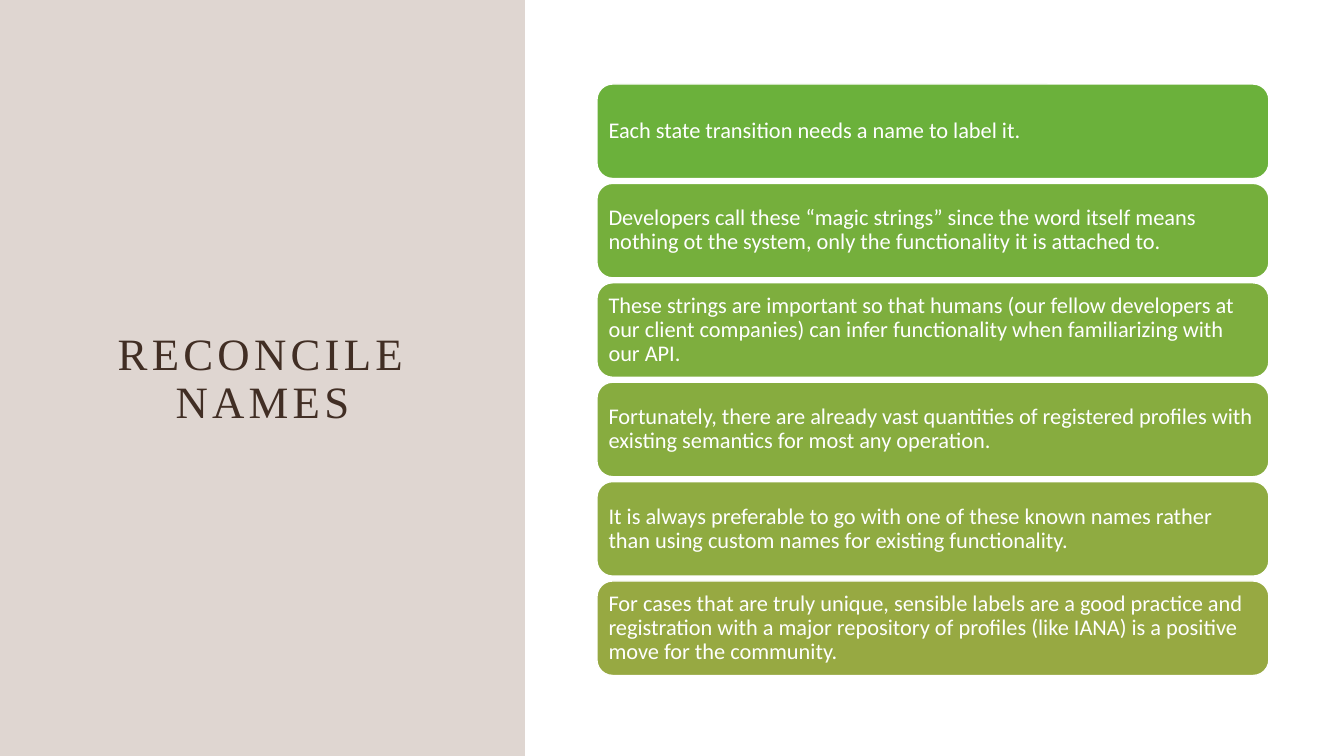
from lxml.etree import SubElement
from pptx import Presentation
from pptx.dml.color import RGBColor
from pptx.enum.shapes import MSO_SHAPE
from pptx.enum.text import MSO_ANCHOR, MSO_AUTO_SIZE, PP_ALIGN
from pptx.oxml.ns import qn
from pptx.util import Pt

WHITE = RGBColor(0xFF, 0xFF, 0xFF)
BROWN = RGBColor(0x83, 0x5D, 0x48)
DARK_BROWN = RGBColor(0x41, 0x2E, 0x24)

STATEMENTS = [
    ("Each state transition needs a name to label it.", RGBColor(0x6B, 0xB1, 0x3B)),
    ("Developers call these “magic strings” since the word itself means nothing ot "
     "the system, only the functionality it is attached to.", RGBColor(0x75, 0xAF, 0x3C)),
    ("These strings are important so that humans (our fellow developers at our client "
     "companies) can infer functionality when familiarizing with our API.",
     RGBColor(0x7E, 0xAE, 0x3E)),
    ("Fortunately, there are already vast quantities of registered profiles with "
     "existing semantics for most any operation.", RGBColor(0x87, 0xAC, 0x3F)),
    ("It is always preferable to go with one of these known names rather than using "
     "custom names for existing functionality.", RGBColor(0x8F, 0xAB, 0x41)),
    ("For cases that are truly unique, sensible labels are a good practice and "
     "registration with a major repository of profiles (like IANA) is a positive move "
     "for the community.", RGBColor(0x97, 0xA9, 0x42)),
]
CARD_LEFT, CARD_TOP, CARD_WIDTH, CARD_HEIGHT = 426.4, 60, 480, 67.5
CARD_PITCH = 71


def write(frame, text, *, font, size, color, align=PP_ALIGN.LEFT, spacing=0):
    """Fill a text frame with one formatted, vertically centred paragraph."""
    frame.word_wrap = True
    frame.auto_size = MSO_AUTO_SIZE.NONE
    frame.vertical_anchor = MSO_ANCHOR.MIDDLE
    paragraph = frame.paragraphs[0]
    paragraph.alignment = align
    paragraph.line_spacing = 0.9
    run = paragraph.add_run()
    run.text = text
    run.font.name = font
    run.font.size = Pt(size)
    run.font.color.rgb = color
    if spacing:
        run.font._element.set("spc", str(spacing * 100))


def add_block(slide, kind, left, top, width, height, fill):
    """Add a flat filled shape without an outline."""
    block = slide.shapes.add_shape(kind, Pt(left), Pt(top), Pt(width), Pt(height))
    block.shadow.inherit = False
    block.fill.solid()
    block.fill.fore_color.rgb = fill
    block.line.fill.background()
    return block


def add_panel(slide):
    """Add the translucent side panel behind the title."""
    panel = add_block(slide, MSO_SHAPE.RECTANGLE, 0, 0, 375, 540, BROWN)
    tint = panel._element.spPr.find(qn("a:solidFill")).find(qn("a:srgbClr"))
    SubElement(tint, qn("a:alpha")).set("val", "25000")
    slide.shapes._spTree.insert(2, panel._element)


def add_title(slide, text):
    """Place and format the slide title."""
    title = slide.shapes.title
    title.left, title.top, title.width, title.height = Pt(54), Pt(55.5), Pt(267), Pt(432)
    write(title.text_frame, text, font="Times New Roman", size=32,
          color=DARK_BROWN, align=PP_ALIGN.CENTER, spacing=3)


def add_card(slide, top, text, fill):
    """Add one rounded statement card."""
    card = add_block(slide, MSO_SHAPE.ROUNDED_RECTANGLE, CARD_LEFT, top,
                     CARD_WIDTH, CARD_HEIGHT, fill)
    card.line.color.rgb = WHITE
    card.line.width = Pt(1)
    frame = card.text_frame
    frame.margin_left = frame.margin_right = Pt(5)
    frame.margin_top = frame.margin_bottom = Pt(0)
    write(frame, text, font="Calibri", size=16, color=WHITE)


def main():
    """Build the slide and save it."""
    deck = Presentation()
    deck.slide_width, deck.slide_height = Pt(960), Pt(540)
    slide = deck.slides.add_slide(deck.slide_layouts[5])
    add_panel(slide)
    add_title(slide, "RECONCILE NAMES")
    for row, (text, fill) in enumerate(STATEMENTS):
        add_card(slide, CARD_TOP + row * CARD_PITCH, text, fill)
    deck.save("out.pptx")


if __name__ == "__main__":
    main()
